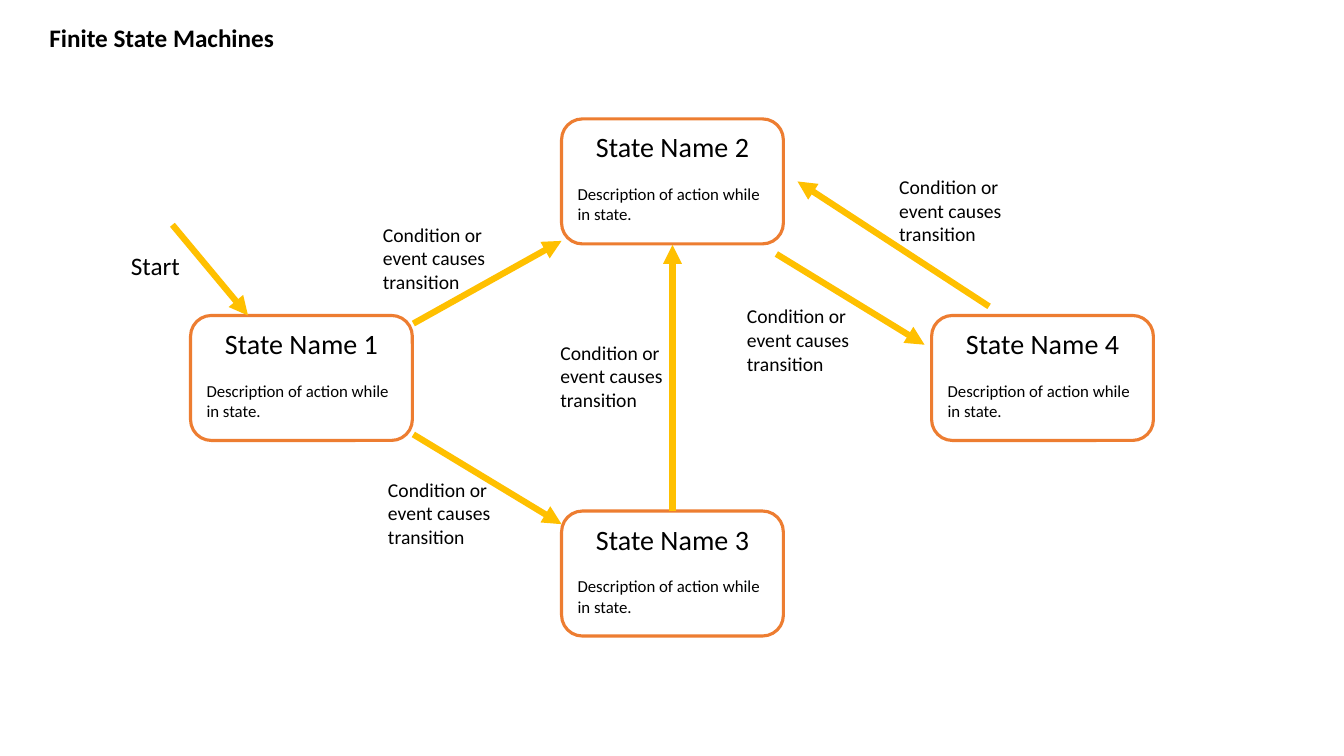
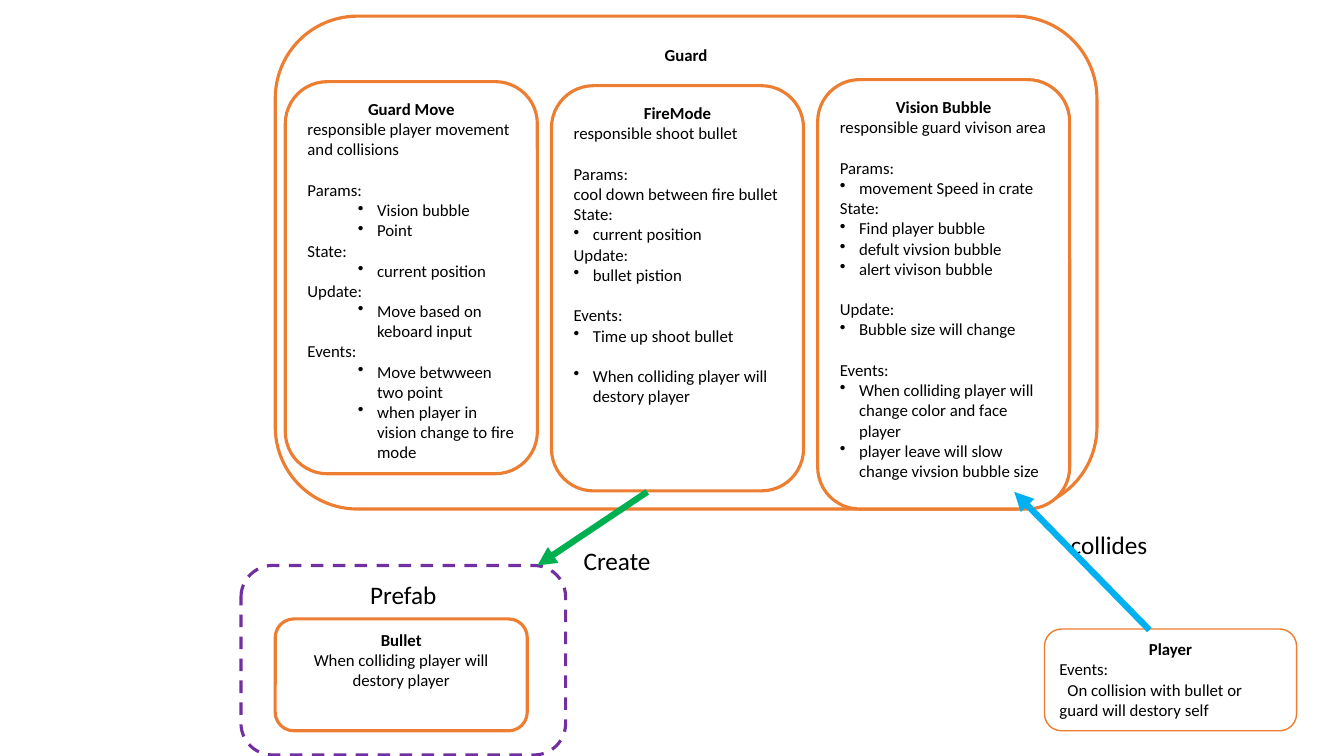
"""Build two state diagrams: a finite state machine template and a guard's components."""
from lxml import etree
from pptx import Presentation
from pptx import util as u
from pptx.dml.color import RGBColor
from pptx.enum import dml, shapes, text
from pptx.oxml.ns import qn


class Theme:
    font = "Calibri"
    ink = RGBColor.from_string("000000")
    paper = RGBColor.from_string("FFFFFF")
    orange = RGBColor.from_string("ED7D31")
    amber = RGBColor.from_string("FFC000")
    purple = RGBColor.from_string("7030A0")
    green = RGBColor.from_string("00B050")
    blue = RGBColor.from_string("00B0F0")
    outline, thin, arrow = 2.25, 1, 4.5
    label, small, body, state = 18, 14, 12, 20
    blank_line = u.Pt(14.6)


LEFT, CENTER = text.PP_ALIGN.LEFT, text.PP_ALIGN.CENTER
STYLES = {
    "title": {"size": Theme.label, "bold": True},
    "label": {"size": Theme.label},
    "condition": {"size": Theme.small},
    "state": {"size": Theme.state, "align": CENTER},
    "group": {"size": Theme.label, "align": CENTER},
    "heading": {"size": Theme.body, "bold": True, "align": CENTER},
    "centered": {"size": Theme.body, "align": CENTER},
    "body": {"size": Theme.body},
    "spaced": {"size": Theme.body, "before": Theme.blank_line},
    "indented": {"size": Theme.body, "first": 0.08},
    "bullet": {"size": Theme.body, "margin": 0.19, "first": -0.19},
    "spaced bullet": {"size": Theme.body, "margin": 0.19, "first": -0.19,
                      "before": Theme.blank_line},
    "deep bullet": {"size": Theme.body, "margin": 0.69, "first": -0.19, "level": 1},
}
OUTLINES = {
    "box": {"color": Theme.orange, "width": Theme.outline},
    "thin box": {"color": Theme.orange, "width": Theme.thin},
    "dashed box": {"color": Theme.purple, "width": Theme.outline, "dashed": True},
}


def write(shape, paragraphs, wrap):
    """Fill a shape's text frame with (style name, wording) pairs."""
    frame = shape.text_frame
    frame_format = {"word_wrap": wrap, "auto_size": text.MSO_AUTO_SIZE.NONE,
                    "vertical_anchor": text.MSO_ANCHOR.TOP}
    for name, value in frame_format.items():
        setattr(frame, name, value)
    for index, (style_name, wording) in enumerate(paragraphs):
        style = STYLES[style_name]
        paragraph = frame.add_paragraph() if index else frame.paragraphs[0]
        paragraph_format = {"alignment": style.get("align", LEFT),
                            "level": style.get("level", 0),
                            "space_before": style.get("before", u.Pt(0))}
        for name, value in paragraph_format.items():
            setattr(paragraph, name, value)
        run = paragraph.add_run()
        run.text = wording
        font_format = {"name": Theme.font, "size": u.Pt(style["size"]),
                       "bold": style.get("bold", False)}
        for name, value in font_format.items():
            setattr(run.font, name, value)
        run.font.color.rgb = Theme.ink
        if "first" in style:
            properties = paragraph._p.get_or_add_pPr()
            properties.set("marL", str(u.Inches(style.get("margin", 0))))
            properties.set("indent", str(u.Inches(style["first"])))
        if "margin" in style:
            etree.SubElement(properties, qn("a:buChar")).set("char", "•")


def connect(slide, start, end, color):
    """Draw a thick straight arrow from start to end."""
    connector = slide.shapes.add_connector(
        shapes.MSO_CONNECTOR.STRAIGHT, *(u.Inches(value) for value in start + end))
    connector.line.color.rgb = color
    connector.line.width = u.Pt(Theme.arrow)
    properties = connector._element.spPr
    etree.SubElement(properties.find(qn("a:ln")), qn("a:tailEnd")).set("type", "triangle")
    etree.SubElement(properties, qn("a:effectLst"))


state_places = [(1.89, 3.13), (5.57, 1.18), (5.57, 5.07), (9.24, 3.13)]
state_boxes = [
    ((left, top, 2.2, 1.24), "box",
     [("state", f"State Name {number}"), ("spaced", "Description of action while in state.")])
    for number, (left, top) in enumerate(state_places, 1)
]
condition = [("condition", line) for line in ("Condition or", "event causes", "transition")]
condition_places = [(3.75, 4.69), (3.7, 2.16), (5.46, 3.33), (8.82, 1.69), (7.31, 2.97)]
state_labels = [((left, top, 1.23, 0.81), condition) for left, top in condition_places]
state_labels.append(((1.2, 2.43, 0.69, 0.4), [("label", "Start")]))
state_arrows = [
    ((1.71, 2.23), (2.46, 3.13), Theme.amber),
    ((4.1, 3.21), (5.57, 2.39), Theme.amber),
    ((4.1, 4.31), (5.57, 5.2), Theme.amber),
    ((7.7, 2.52), (9.17, 3.42), Theme.amber),
    ((6.67, 5.07), (6.67, 2.43), Theme.amber),
    ((9.81, 3.04), (7.91, 1.8), Theme.amber),
]

guard_move = [
    ("heading", "Guard Move"),
    ("body", "responsible player movement"),
    ("body", "and collisions"),
    ("spaced", "Params:"),
    ("deep bullet", "Vision bubble"),
    ("deep bullet", "Point"),
    ("body", "State:"),
    ("deep bullet", "current position"),
    ("body", "Update:"),
    ("deep bullet", "Move based on keboard input"),
    ("body", "Events:"),
    ("deep bullet", "Move betwween two point"),
    ("deep bullet", "when player in vision change to fire mode"),
]
fire_mode = [
    ("heading", "FireMode"),
    ("body", "responsible shoot bullet"),
    ("spaced", "Params:"),
    ("body", "cool down between fire bullet"),
    ("body", "State:"),
    ("bullet", "current position"),
    ("body", "Update:"),
    ("bullet", "bullet pistion"),
    ("spaced", "Events:"),
    ("bullet", "Time up shoot bullet"),
    ("spaced bullet", "When colliding player will destory player"),
]
vision_bubble = [
    ("heading", "Vision Bubble"),
    ("body", "responsible guard vivison area"),
    ("spaced", "Params:"),
    ("bullet", "movement Speed in crate"),
    ("body", "State:"),
    ("bullet", "Find player bubble"),
    ("bullet", "defult vivsion bubble"),
    ("bullet", "alert vivison bubble"),
    ("spaced", "Update:"),
    ("bullet", "Bubble size will change"),
    ("spaced", "Events:"),
    ("bullet", "When colliding player will change color and face player"),
    ("bullet", "player leave will slow change vivsion bubble size"),
]
bullet = [("heading", "Bullet"), ("centered", "When colliding player will destory player")]
player = [
    ("heading", "Player"),
    ("body", "Events:"),
    ("indented", "On collision with bullet or guard will destory self"),
]
guard_boxes = [
    ((2.73, 0.16, 8.15, 4.89), "box", [("heading", "Guard")]),
    ((2.83, 0.81, 2.5, 3.89), "box", guard_move),
    ((5.47, 0.85, 2.5, 4.02), "box", fire_mode),
    ((8.11, 0.79, 2.5, 4.26), "box", vision_bubble),
    ((2.39, 5.61, 3.22, 1.88), "dashed box", [("group", "Prefab")]),
    ((2.73, 6.14, 2.5, 1.11), "box", bullet),
    ((10.36, 6.24, 2.5, 1.01), "thin box", player),
]
guard_labels = [
    ((10.52, 5.2, 0.97, 0.4), [("label", "collides")]),
    ((5.69, 5.36, 0.86, 0.4), [("label", "Create")]),
]
guard_arrows = [
    ((6.42, 4.88), (5.33, 5.61), Theme.green),
    ((11.4, 6.25), (10.06, 4.88), Theme.blue),
]

presentation = Presentation()
presentation.slide_width, presentation.slide_height = u.Inches(13.33), u.Inches(7.5)
title_only, blank = presentation.slide_layouts[5], presentation.slide_layouts[6]

diagrams = [
    ("Finite State Machines", state_boxes, state_labels, state_arrows),
    (None, guard_boxes, guard_labels, guard_arrows),
]
for title, boxes, labels, arrows in diagrams:
    slide = presentation.slides.add_slide(title_only if title else blank)
    if title:
        title_shape = slide.shapes.title
        title_place = {"left": 0.39, "top": 0.17, "width": 2.45, "height": 0.4}
        for name, value in title_place.items():
            setattr(title_shape, name, u.Inches(value))
        write(title_shape, [("title", title)], wrap=False)
    for place, outline_name, paragraphs in boxes:
        outline = OUTLINES[outline_name]
        box = slide.shapes.add_shape(
            shapes.MSO_SHAPE.ROUNDED_RECTANGLE, *(u.Inches(value) for value in place))
        box.shadow.inherit = False
        box.line.color.rgb = outline["color"]
        box.line.width = u.Pt(outline["width"])
        if outline.get("dashed"):
            box.line.dash_style = dml.MSO_LINE.DASH
            box.fill.background()
        else:
            box.fill.solid()
            box.fill.fore_color.rgb = Theme.paper
        write(box, paragraphs, wrap=True)
    for place, paragraphs in labels:
        label = slide.shapes.add_textbox(*(u.Inches(value) for value in place))
        write(label, paragraphs, wrap=False)
    for start, end, color in arrows:
        connect(slide, start, end, color)

presentation.save("out.pptx")
